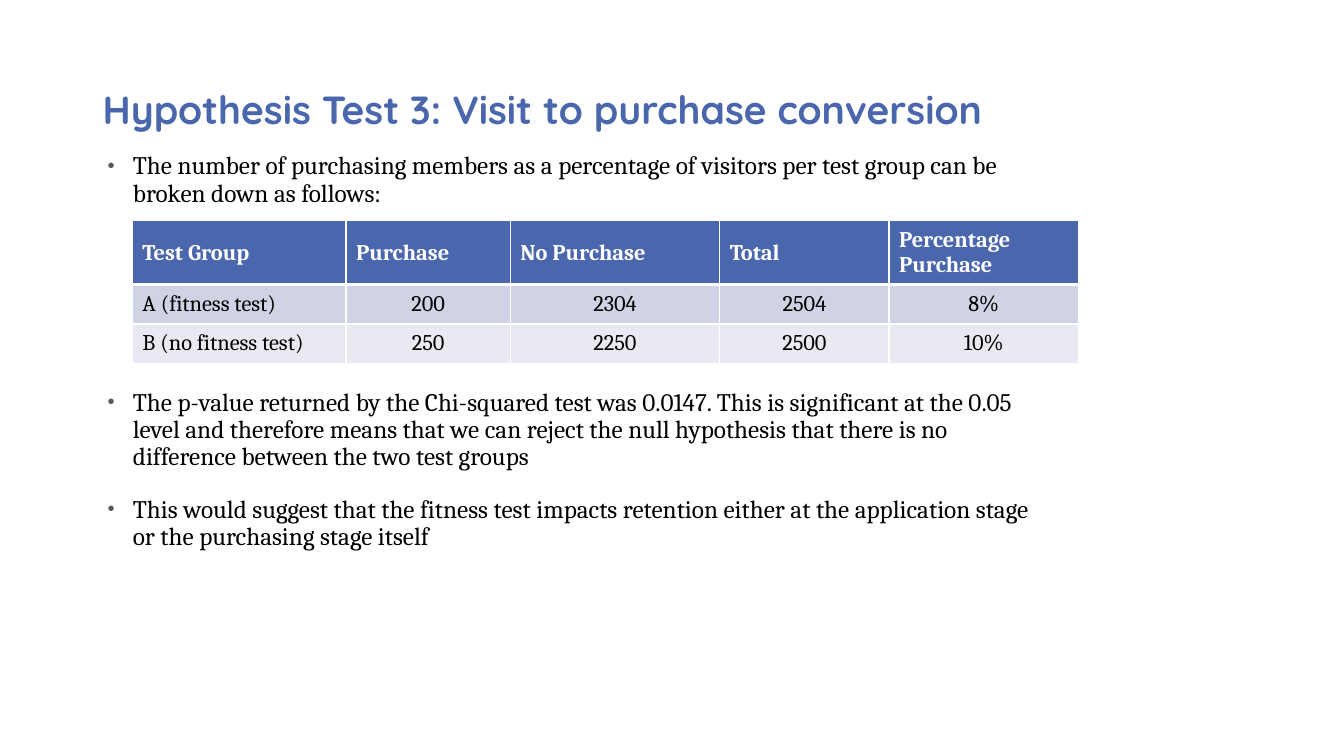
from dataclasses import dataclass

from lxml.etree import SubElement
from pptx import Presentation
from pptx.dml.color import RGBColor
from pptx.enum.text import MSO_ANCHOR, PP_ALIGN
from pptx.oxml.ns import qn
from pptx.util import Inches, Pt


@dataclass(frozen=True)
class Theme:
    """Colours, fonts and type sizes of the deck."""
    blue: str = "4A66AC"
    white: str = "FFFFFF"
    black: str = "000000"
    grey: str = "595959"
    bands: tuple = ("D0D3E3", "E9EAF1")
    head: str = "Quicksand"
    text: str = "Cambria"
    title: int = 28
    body: int = 18
    cell: int = 16


THEME = Theme()
TITLE = "Hypothesis Test 3: Visit to purchase conversion"
POINTS = [
    ("The number of purchasing members as a percentage of visitors per test "
     "group can be broken down as follows:", 0),
    ("The p-value returned by the Chi-squared test was 0.0147. This is "
     "significant at the 0.05 level and therefore means that we can reject the "
     "null hypothesis that there is no difference between the two test groups", 130),
    ("This would suggest that the fitness test impacts retention either at the "
     "application stage or the purchasing stage itself", 18),
]
ROWS = [
    ("Test Group", "Purchase", "No Purchase", "Total", "Percentage Purchase"),
    ("A (fitness test)", "200", "2304", "2504", "8%"),
    ("B (no fitness test)", "250", "2250", "2500", "10%"),
]
COLS = (2.12, 1.63, 2.08, 1.68, 1.88)
HIGH = (0.6, 0.39, 0.39)


def place(deck, left, top, width, height):
    """Turn percentages of the slide into a box of lengths."""
    wide, high = deck.slide_width / 100, deck.slide_height / 100
    return int(left * wide), int(top * high), int(width * wide), int(height * high)


def style(para, face, size, color, bold=False):
    """Set the font of a whole paragraph."""
    font = para.font
    font.name, font.size, font.bold = face, Pt(size), bold
    font.color.rgb = RGBColor.from_string(color)


def frame(slide, box, anchor):
    """Add a wrapping text box and return its text frame."""
    text = slide.shapes.add_textbox(*box).text_frame
    text.word_wrap = True
    text.vertical_anchor = anchor
    return text


def title(slide, box):
    """Write the heading in the middle of its box."""
    para = frame(slide, box, MSO_ANCHOR.MIDDLE).paragraphs[0]
    para.text, para.line_spacing = TITLE, 0.8
    style(para, THEME.head, THEME.title, THEME.blue, True)


def bullet(para):
    """Give a paragraph a hanging grey bullet."""
    props = para._p.get_or_add_pPr()
    props.set("marL", str(Inches(0.3)))
    props.set("indent", str(Inches(-0.25)))
    color = SubElement(props, qn("a:buClr"))
    SubElement(color, qn("a:srgbClr"), val=THEME.grey)
    SubElement(props, qn("a:buSzPct"), val="80000")
    SubElement(props, qn("a:buFont"), typeface="Arial")
    SubElement(props, qn("a:buChar"), char="•")


def points(slide, box):
    """List the findings, leaving room for the table after the first."""
    text = frame(slide, box, MSO_ANCHOR.TOP)
    for num, (words, gap) in enumerate(POINTS):
        para = text.add_paragraph() if num else text.paragraphs[0]
        para.text, para.line_spacing, para.space_before = words, 0.9, Pt(gap)
        bullet(para)
        style(para, THEME.text, THEME.body, THEME.black)


def border(cell, row):
    """Draw white cell edges, thicker below the header."""
    props = cell._tc.get_or_add_tcPr()
    thick = {(0, "B"), (1, "T")}
    for side in "LRTB":
        width = 3 if (row, side) in thick else 1
        line = SubElement(props, qn(f"a:ln{side}"), w=str(Pt(width)))
        fill = SubElement(line, qn("a:solidFill"))
        SubElement(fill, qn("a:srgbClr"), val=THEME.white)


def grid(slide, box):
    """Build the conversion table, sharing the box among columns and rows."""
    table = slide.shapes.add_table(len(ROWS), len(COLS), *box).table
    for col, share in zip(table.columns, COLS):
        col.width = int(box[2] * share / sum(COLS))
    for row, share in zip(table.rows, HIGH):
        row.height = int(box[3] * share / sum(HIGH))
    fills = (THEME.blue, *THEME.bands)
    for r, row in enumerate(ROWS):
        for c, words in enumerate(row):
            cell = table.cell(r, c)
            cell.text, cell.vertical_anchor = words, MSO_ANCHOR.MIDDLE
            border(cell, r)
            cell.fill.solid()
            cell.fill.fore_color.rgb = RGBColor.from_string(fills[r])
            para = cell.text_frame.paragraphs[0]
            para.alignment = PP_ALIGN.CENTER if r and c else PP_ALIGN.LEFT
            color = THEME.black if r else THEME.white
            style(para, THEME.text, THEME.cell, color, r == 0)


def main():
    """Build and save the slide."""
    deck = Presentation()
    deck.slide_width, deck.slide_height = Inches(13.33), Inches(7.5)
    slide = deck.slides.add_slide(deck.slide_layouts[6])
    title(slide, place(deck, 6.9, 7.2, 71.27, 15.6))
    points(slide, place(deck, 6.9, 19.6, 71.27, 68.27))
    grid(slide, place(deck, 9.85, 29.2, 70.4, 18.4))
    deck.save("out.pptx")


if __name__ == "__main__":
    main()
